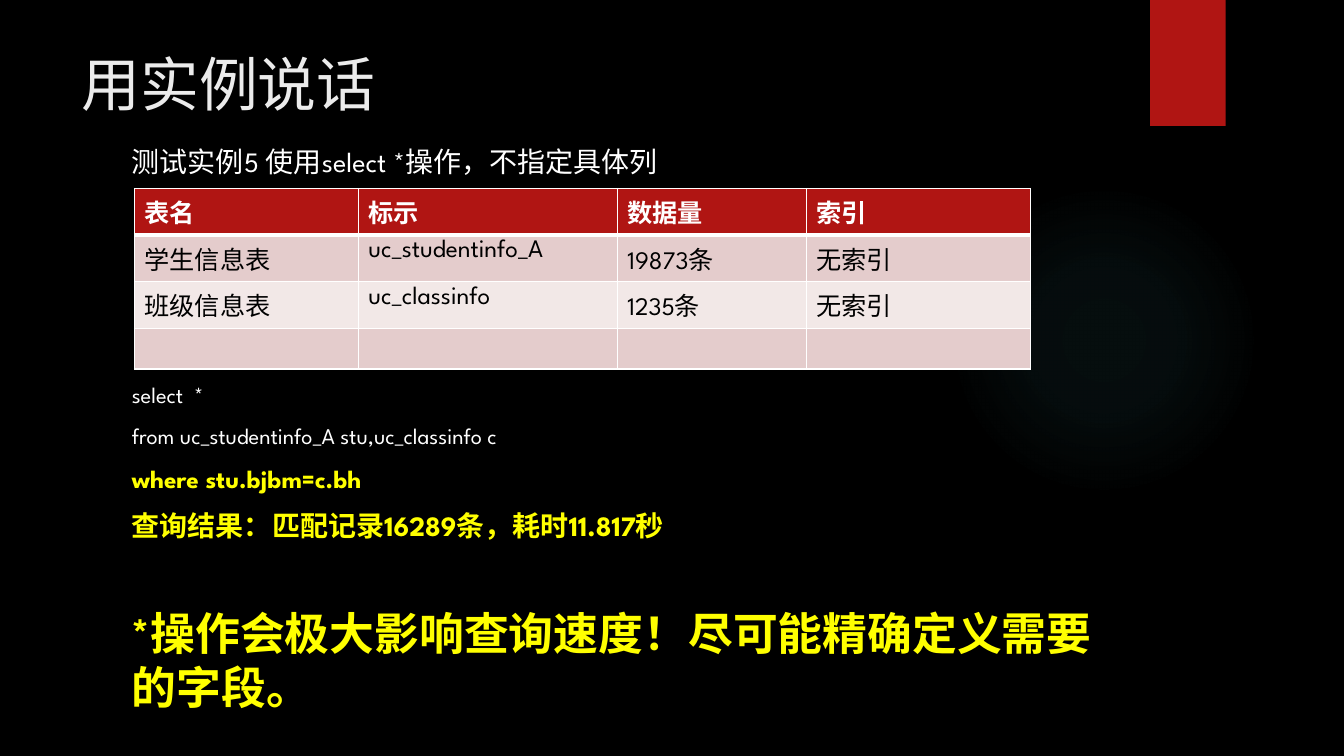
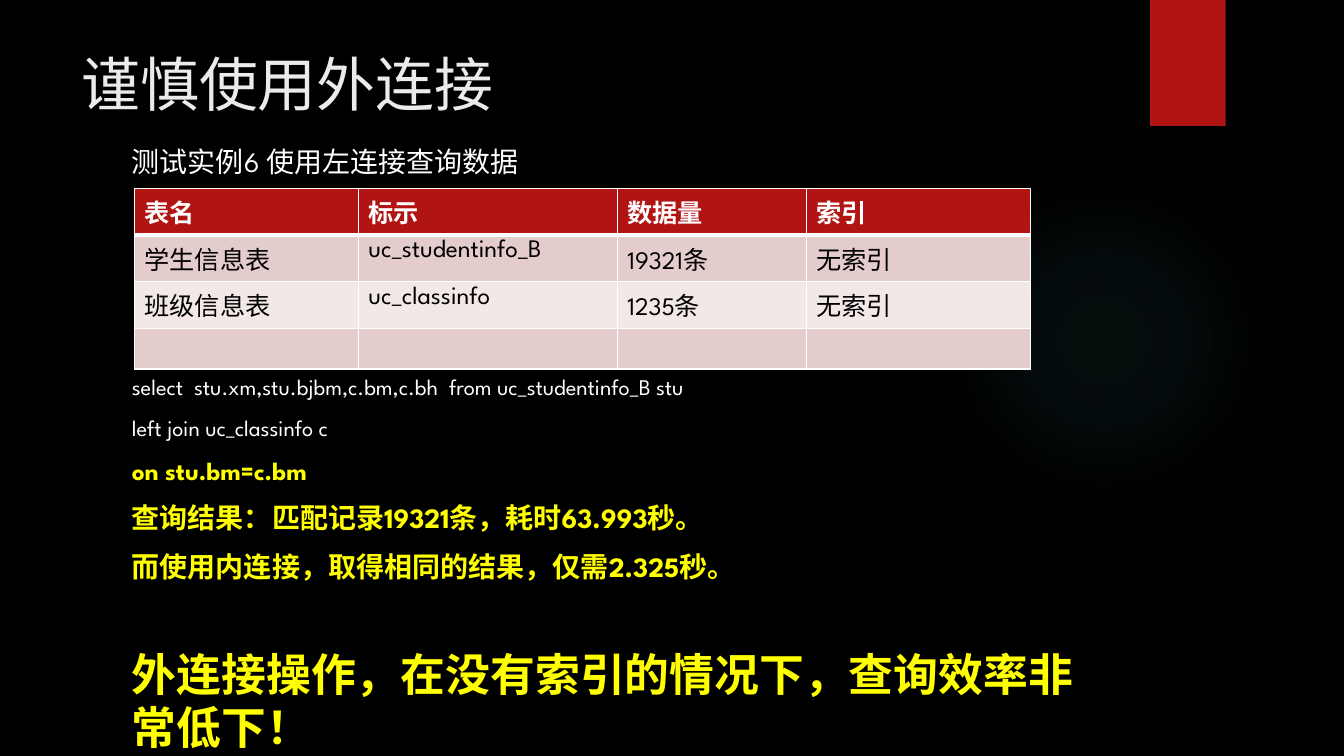
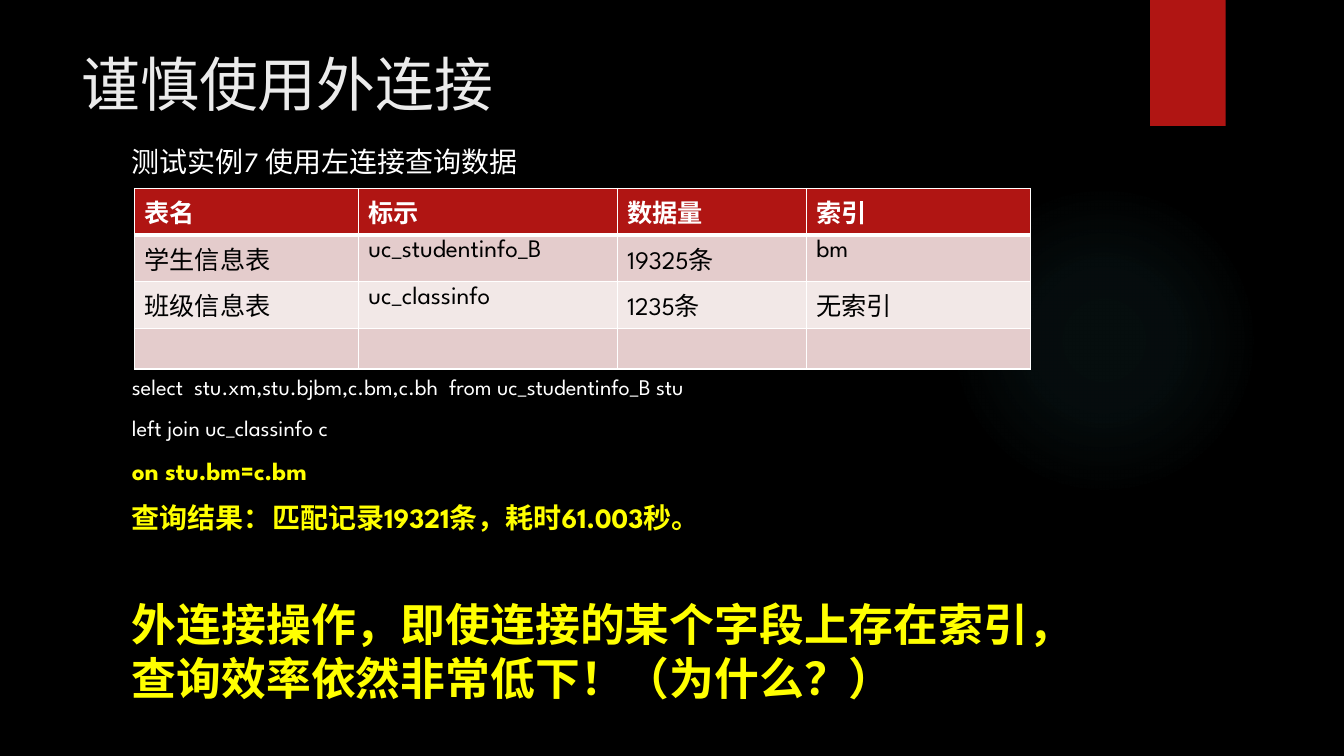
"""Build three slides on SQL query test cases."""
from pptx import Presentation
from pptx.dml.color import RGBColor
from pptx.enum.shapes import MSO_SHAPE
from pptx.enum.text import MSO_ANCHOR, MSO_AUTO_SIZE
from pptx.oxml import parse_xml
from pptx.oxml.ns import nsdecls
from pptx.util import Pt

OVAL, RECTANGLE = MSO_SHAPE.OVAL, MSO_SHAPE.RECTANGLE
TOP, NO_AUTOFIT = MSO_ANCHOR.TOP, MSO_AUTO_SIZE.NONE

FONT = "League Spartan"
COLORS = {
    "background": "000000", "glow": "50B9C1", "accent": "B01513",
    "title": "EBEBEB", "white": "FFFFFF", "black": "000000",
    "yellow": "FFFF00", "band_dark": "E4CCCC", "band_light": "F2E8E7",
}
GLOW_STOPS = [(0, 7), (36, 6), (69, 0)]

HEADERS = ("表名", "标示", "数据量", "索引")
CLASS_ROW = ("班级信息表", "uc_classinfo", "1235条", "无索引")
EMPTY_ROW = ("", "", "", "")
JOIN_QUERY = [
    ("select", "select  stu.xm,stu.bjbm,c.bm,c.bh  from uc_studentinfo_B stu"),
    ("code", "left join uc_classinfo c"),
    ("condition", "on stu.bm=c.bm"),
]
CASES = [
    {
        "title": "用实例说话",
        "student": ("学生信息表", "uc_studentinfo_A", "19873条", "无索引"),
        "body_height": 421, "query_gap": 145,
        "lines": [
            ("caption", "测试实例5 使用select *操作，不指定具体列"),
            ("select", "select  *"),
            ("code", "from uc_studentinfo_A stu,uc_classinfo c"),
            ("condition", "where stu.bjbm=c.bh"),
            ("result", "查询结果：匹配记录16289条，耗时11.817秒"),
            ("conclusion", "*操作会极大影响查询速度！尽可能精确定义需要的字段。"),
        ],
    },
    {
        "title": "谨慎使用外连接",
        "student": ("学生信息表", "uc_studentinfo_B", "19321条", "无索引"),
        "body_height": 431, "query_gap": 139,
        "lines": [
            ("caption", "测试实例6 使用左连接查询数据"),
            *JOIN_QUERY,
            ("result", "查询结果：匹配记录19321条，耗时63.993秒。"),
            ("result", "而使用内连接，取得相同的结果，仅需2.325秒。"),
            ("conclusion", "外连接操作，在没有索引的情况下，查询效率非常低下！"),
        ],
    },
    {
        "title": "谨慎使用外连接",
        "student": ("学生信息表", "uc_studentinfo_B", "19325条", "bm"),
        "body_height": 421, "query_gap": 139,
        "lines": [
            ("caption", "测试实例7 使用左连接查询数据"),
            *JOIN_QUERY,
            ("result", "查询结果：匹配记录19321条，耗时61.003秒。"),
            ("conclusion", "外连接操作，即使连接的某个字段上存在索引，"
                           "查询效率依然非常低下！（为什么？）"),
        ],
    },
]

# STYLES
STYLES = {
    "caption": {"size": 20, "color": "white", "bold": False, "before": 0},
    "select": {"size": 16, "color": "white", "bold": False, "before": 10},
    "code": {"size": 16, "color": "white", "bold": False, "before": 10},
    "condition": {"size": 18, "color": "yellow", "bold": True, "before": 10},
    "result": {"size": 20, "color": "yellow", "bold": True, "before": 11},
    "conclusion": {"size": 32, "color": "yellow", "bold": True, "before": 45},
}
LINE_FACTOR = 1.2
SLIDE_SIZE = (960, 540)
GLOW_BOX = (677.5, 131.8, 221.8, 221.8)
RIBBON_BOX = (821.5, 0, 54, 90)
TITLE_BOX = (51.1, 36, 741, 110)
BODY_LEFT, BODY_TOP, BODY_WIDTH = 87.1, 100, 704
TABLE_LEFT, TABLE_TOP, ROW_HEIGHT = 96, 134.6, 29.2
COLUMN_WIDTHS = (160, 185, 135, 160)


def rgb(name):
    """Return a named colour."""
    return RGBColor.from_string(COLORS[name])


def points(*lengths):
    """Convert numbers to point lengths."""
    return [Pt(length) for length in lengths]


def style_font(font, size, color, bold=False):
    """Apply the shared typeface and the given look."""
    for attribute, value in {"name": FONT, "size": Pt(size), "bold": bold}.items():
        setattr(font, attribute, value)
    font.color.rgb = rgb(color)


def add_block(slide, kind, box):
    """Add a plain accent shape without outline or shadow."""
    block = slide.shapes.add_shape(kind, *points(*box))
    block.shadow.inherit = False
    block.fill.solid()
    block.fill.fore_color.rgb = rgb("accent")
    block.line.fill.background()
    return block


def add_glow(slide):
    """Add the soft round light."""
    glow = add_block(slide, OVAL, GLOW_BOX)
    stops = "".join(
        f'<a:gs pos="{position * 1000}"><a:srgbClr val="{COLORS["glow"]}">'
        f'<a:alpha val="{alpha * 1000}"/></a:srgbClr></a:gs>'
        for position, alpha in GLOW_STOPS)
    gradient = parse_xml(
        f'<a:gradFill {nsdecls("a")}><a:gsLst>{stops}</a:gsLst>'
        '<a:path path="circle"><a:fillToRect l="50000" t="50000" r="50000" b="50000"/>'
        '</a:path></a:gradFill>')
    solid = glow.element.spPr.find(".//{*}solidFill")
    solid.getparent().replace(solid, gradient)


def add_text_frame(slide, box):
    """Add a wrapping text box and return its frame."""
    frame = slide.shapes.add_textbox(*points(*box)).text_frame
    settings = {"word_wrap": True, "auto_size": NO_AUTOFIT, "vertical_anchor": TOP}
    for attribute, value in settings.items():
        setattr(frame, attribute, value)
    return frame


def add_title(slide, text):
    """Add the slide title."""
    title = add_text_frame(slide, TITLE_BOX).paragraphs[0]
    title.line_spacing = 0.9
    run = title.add_run()
    run.text = text
    style_font(run.font, 42, "title")


def add_body(slide, case):
    """Add caption, query, result and conclusion."""
    frame = add_text_frame(
        slide, (BODY_LEFT, BODY_TOP, BODY_WIDTH, case["body_height"]))
    for index, (role, text) in enumerate(case["lines"]):
        style = STYLES[role]
        paragraph = frame.add_paragraph() if index else frame.paragraphs[0]
        before = case["query_gap"] if role == "select" else style["before"]
        paragraph.space_before = Pt(before)
        paragraph.line_spacing = Pt(style["size"] * LINE_FACTOR)
        run = paragraph.add_run()
        run.text = text
        style_font(run.font, style["size"], style["color"], style["bold"])


def style_cell(cell, row):
    """Set borders, fill and text look by row."""
    header = row == 0
    widths = {"L": 1, "R": 1, "T": 3 if row == 1 else 1, "B": 3 if header else 1}
    properties = cell._tc.get_or_add_tcPr()
    for side, width in widths.items():
        properties.append(parse_xml(
            f'<a:ln{side} {nsdecls("a")} w="{Pt(width)}"><a:solidFill>'
            f'<a:srgbClr val="{COLORS["white"]}"/></a:solidFill></a:ln{side}>'))
    cell.fill.solid()
    band = "band_dark" if row % 2 else "band_light"
    cell.fill.fore_color.rgb = rgb("accent" if header else band)
    style_font(cell.text_frame.paragraphs[0].font, 18,
               "white" if header else "black", header)
    for run in cell.text_frame.paragraphs[0].runs:
        style_font(run.font, 18, "white" if header else "black", header)


def add_data_table(slide, student):
    """Add the overview of the tested tables."""
    rows = [HEADERS, student, CLASS_ROW, EMPTY_ROW]
    table = slide.shapes.add_table(
        len(rows), len(HEADERS),
        *points(TABLE_LEFT, TABLE_TOP, sum(COLUMN_WIDTHS), ROW_HEIGHT * len(rows))).table
    for column, width in zip(table.columns, COLUMN_WIDTHS):
        column.width = Pt(width)
    for row, texts in enumerate(rows):
        table.rows[row].height = Pt(ROW_HEIGHT)
        for column, text in enumerate(texts):
            cell = table.cell(row, column)
            cell.text = text
            style_cell(cell, row)


deck = Presentation()
deck.slide_width, deck.slide_height = points(*SLIDE_SIZE)
backdrop = deck.slide_master.background.fill
backdrop.solid()
backdrop.fore_color.rgb = rgb("background")
for case in CASES:
    slide = deck.slides.add_slide(deck.slide_layouts[6])
    add_glow(slide)
    add_block(slide, RECTANGLE, RIBBON_BOX)
    add_title(slide, case["title"])
    add_body(slide, case)
    add_data_table(slide, case["student"])
deck.save("out.pptx")
